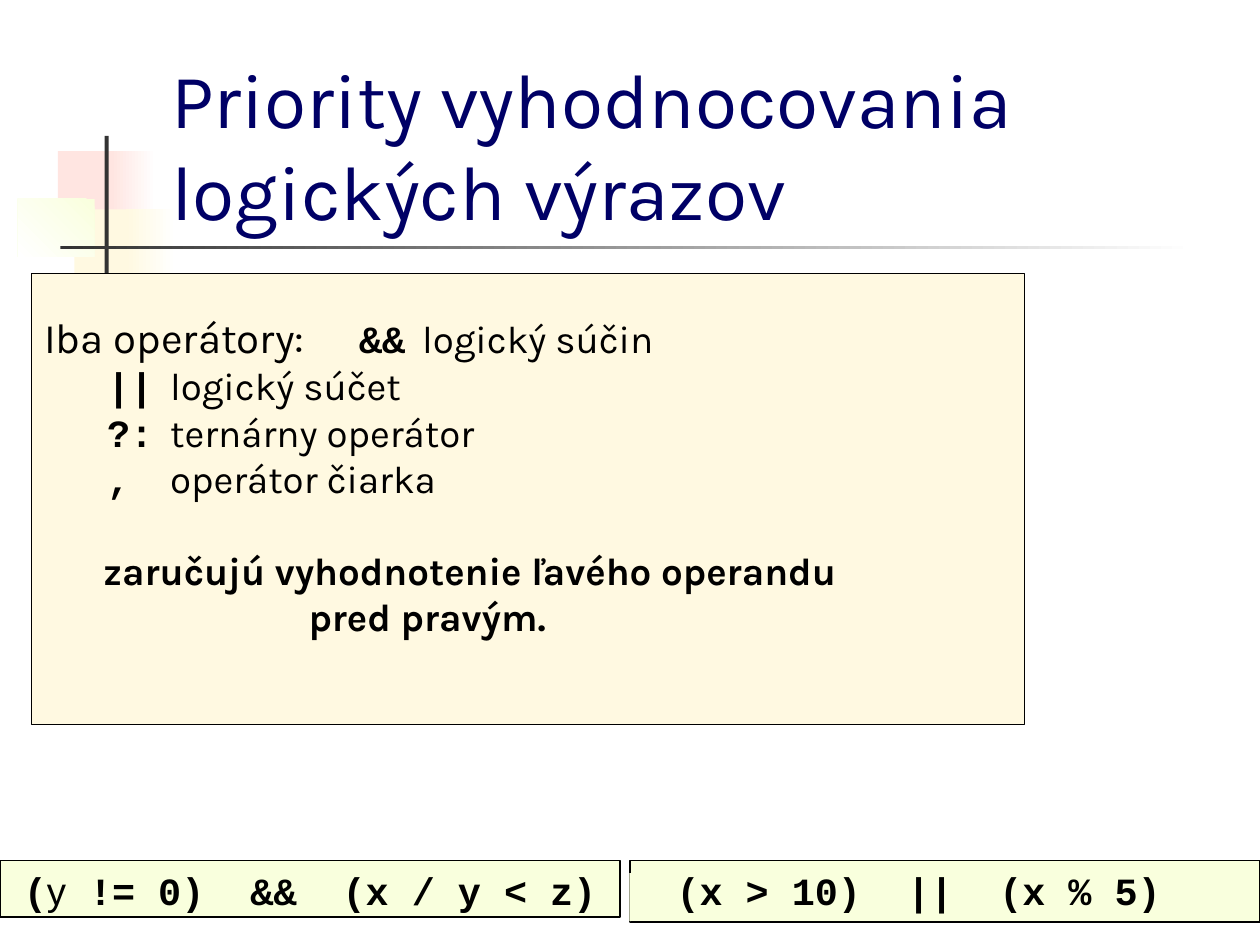
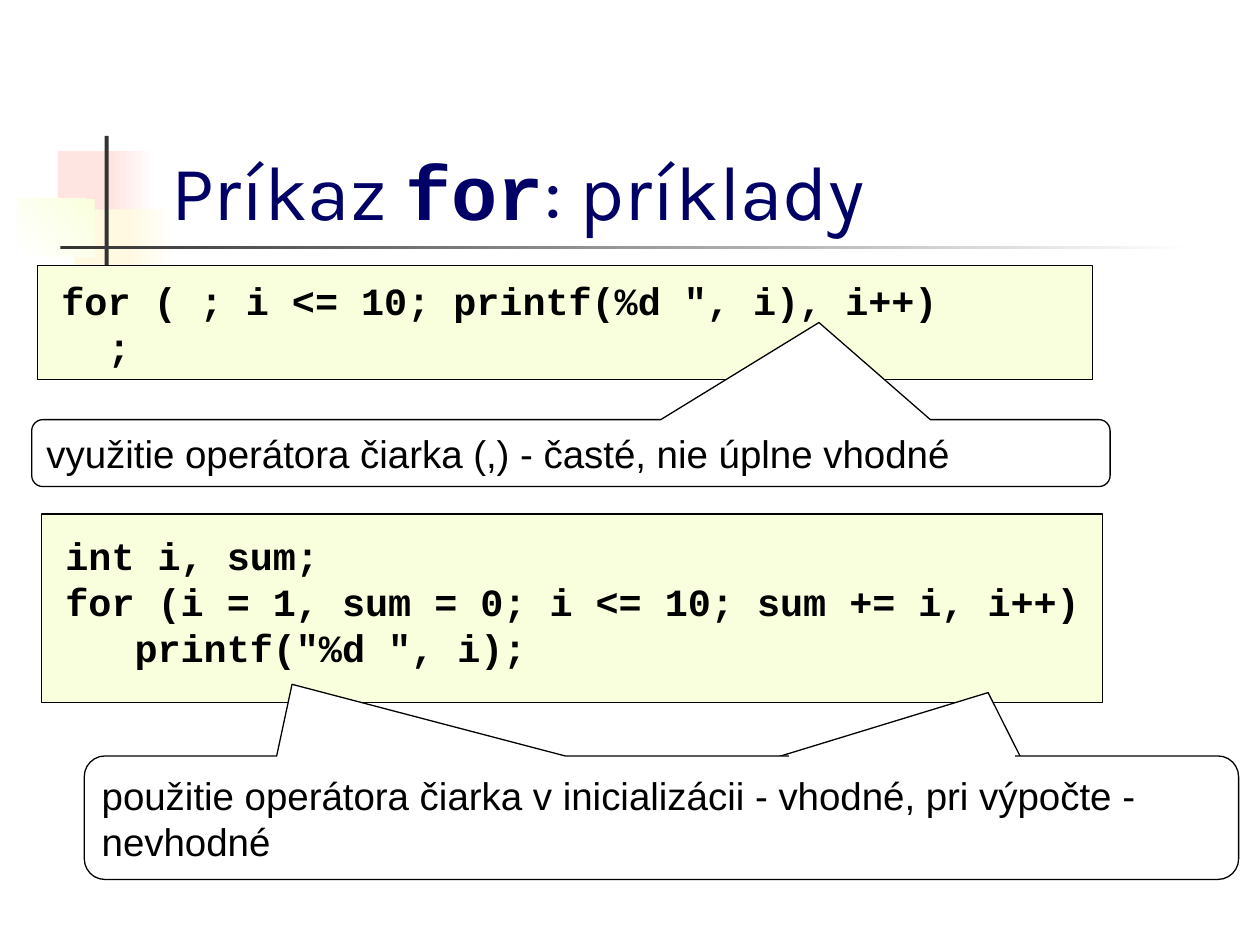
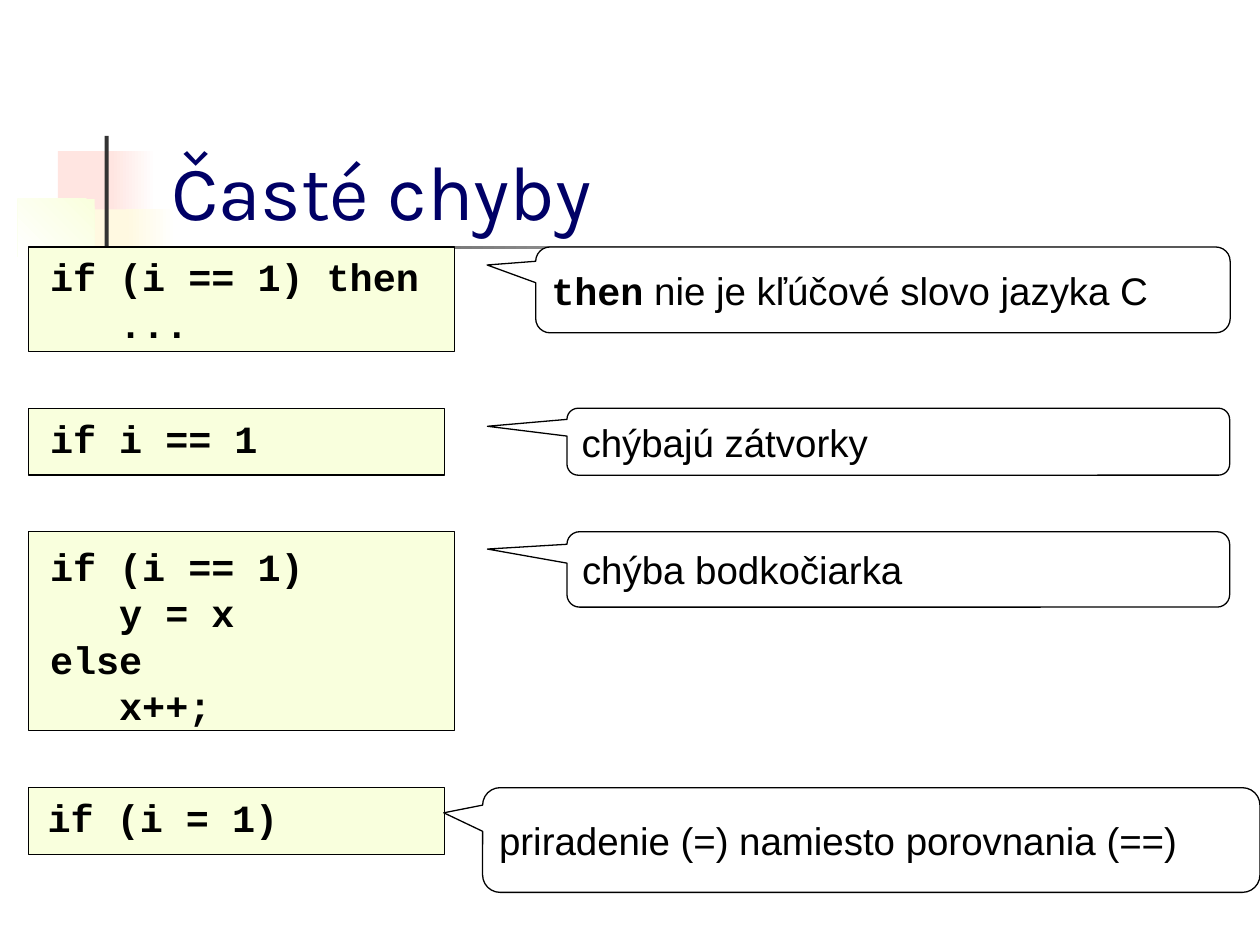
from dataclasses import dataclass
from typing import Any, Optional

from lxml.etree import SubElement
from pptx import Presentation
from pptx.dml.color import RGBColor
from pptx.enum.shapes import MSO_CONNECTOR, MSO_SHAPE
from pptx.enum.text import MSO_ANCHOR, PP_ALIGN
from pptx.oxml.ns import qn
from pptx.util import Cm, Pt

NAVY = RGBColor(0x00, 0x00, 0x66)
BLACK = RGBColor(0x00, 0x00, 0x00)
WHITE = RGBColor(0xFF, 0xFF, 0xFF)
CHARCOAL = RGBColor(0x33, 0x33, 0x33)
PINK = RGBColor(0xFF, 0xE5, 0xE1)
CREAM = RGBColor(0xFF, 0xF9, 0xE1)
LIME = RGBColor(0xF9, 0xFF, 0xDD)

TITLE = {"name": "Karla", "size": Pt(44), "bold": False}
TITLE_CODE = {"name": "Courier New", "size": Pt(44), "bold": True}
LEAD = {"name": "Karla", "size": Pt(24), "bold": False}
BODY = {"name": "Karla", "size": Pt(22), "bold": False}
STRONG = {"name": "Karla", "size": Pt(22), "bold": True}
CODE = {"name": "Courier New", "size": Pt(22), "bold": True}
REMARK = {"name": "Arial", "size": Pt(22), "bold": False}

OPERATOR_TABS = (7.62, 9.04)


@dataclass(frozen=True)
class Box:
    """Position and size in centimetres."""

    left: float
    top: float
    width: float
    height: float

    def lengths(self) -> tuple[Cm, Cm, Cm, Cm]:
        """Return the four lengths for a shape call."""
        return Cm(self.left), Cm(self.top), Cm(self.width), Cm(self.height)


@dataclass(frozen=True)
class Run:
    """Words sharing one font format."""

    text: str
    style: dict[str, Any]


@dataclass(frozen=True)
class Line:
    """One paragraph with its indent, tab stops and space before."""

    runs: tuple[Run, ...]
    indent: float = 0
    tabs: tuple[float, ...] = ()
    before: float = 0


@dataclass(frozen=True)
class Ornament:
    """A block of the title decoration, plain or fading to white."""

    box: Box
    colour: RGBColor
    fade_angle: Optional[int] = None


@dataclass(frozen=True)
class Listing:
    """A code panel with its padding."""

    box: Box
    lines: tuple[Line, ...]
    pad_left: float = 0.43
    pad_top: float = 0.13


@dataclass(frozen=True)
class Callout:
    """A rounded balloon whose tail ends at tip."""

    box: Box
    tip: tuple[float, float]
    runs: tuple[Run, ...] = ()


ORNAMENTS = (
    Ornament(Box(1.17, 3.05, 1.22, 1.32), PINK),
    Ornament(Box(2.24, 3.05, 0.91, 1.32), PINK, 0),
    Ornament(Box(1.5, 4.22, 1.17, 1.32), CREAM),
    Ornament(Box(2.54, 4.22, 1.02, 1.32), CREAM, 0),
    Ornament(Box(0.36, 4.01, 1.55, 1.17), LIME, 225),
    Ornament(Box(2.11, 2.74, 0.08, 2.92), CHARCOAL),
    Ornament(Box(1.22, 4.95, 22.86, 0.08), CHARCOAL, 0),
)
TITLE_BOX = Box(3.2, 1.7, 21.64, 3.18)


def code(*texts: str) -> tuple[Line, ...]:
    """Return one code line for each text."""
    return tuple(Line((Run(text, CODE),)) for text in texts)


def remark(text: str) -> tuple[Run, ...]:
    """Return the run of a plain remark."""
    return (Run(text, REMARK),)


def operator(sign: str, meaning: str, lead: str = "") -> Line:
    """Return a row of the operator list."""
    return Line(
        (Run(f"{lead}\t", LEAD if lead else BODY), Run(f"{sign}\t", CODE), Run(meaning, BODY)),
        tabs=OPERATOR_TABS,
    )


def write(shape: Any, lines: tuple[Line, ...], colour: RGBColor, frame_format: dict[str, Any]) -> None:
    """Fill a shape with formatted paragraphs."""
    frame = shape.text_frame
    for key, value in ({"word_wrap": True} | frame_format).items():
        setattr(frame, key, value)
    for index, line in enumerate(lines):
        paragraph = frame.paragraphs[0] if index == 0 else frame.add_paragraph()
        paragraph.alignment = PP_ALIGN.LEFT
        if line.before:
            paragraph.space_before = Pt(line.before)
        properties = paragraph._p.get_or_add_pPr()
        properties.set("marL", str(Cm(line.indent)))
        properties.set("indent", "0")
        if line.tabs:
            stops = SubElement(properties, qn("a:tabLst"))
            for stop in line.tabs:
                SubElement(stops, qn("a:tab"), pos=str(Cm(stop)), algn="l")
        for part in line.runs:
            run = paragraph.add_run()
            run.text = part.text
            for key, value in part.style.items():
                setattr(run.font, key, value)
            run.font.color.rgb = colour


def add_block(slide: Any, box: Box, colour: RGBColor, outlined: bool = True, kind: Any = MSO_SHAPE.RECTANGLE) -> Any:
    """Add a filled shape, with a thin black outline if wanted."""
    block = slide.shapes.add_shape(kind, *box.lengths())
    block.shadow.inherit = False
    block.fill.solid()
    block.fill.fore_color.rgb = colour
    if outlined:
        block.line.color.rgb = BLACK
        block.line.width = Pt(0.75)
    else:
        block.line.fill.background()
    return block


def add_ornament(slide: Any, ornament: Ornament) -> None:
    """Draw one block of the title decoration."""
    block = add_block(slide, ornament.box, ornament.colour, outlined=False)
    if ornament.fade_angle is not None:
        block.fill.gradient()
        block.fill.gradient_angle = ornament.fade_angle
        for stop, colour in zip(block.fill.gradient_stops, (ornament.colour, WHITE)):
            stop.color.rgb = colour


def add_titled_slide(deck: Any, *title: Run) -> Any:
    """Add a blank slide with the decoration and a title."""
    slide = deck.slides.add_slide(deck.slide_layouts[6])
    for ornament in ORNAMENTS:
        add_ornament(slide, ornament)
    heading = slide.shapes.add_textbox(*TITLE_BOX.lengths())
    write(heading, (Line(title),), NAVY, {"vertical_anchor": MSO_ANCHOR.BOTTOM})
    return slide


def add_listing(slide: Any, listing: Listing) -> None:
    """Draw a code panel."""
    panel = add_block(slide, listing.box, LIME)
    write(panel, listing.lines, BLACK, {
        "vertical_anchor": MSO_ANCHOR.TOP,
        "margin_left": Cm(listing.pad_left),
        "margin_top": Cm(listing.pad_top),
        "margin_right": 0,
        "margin_bottom": 0,
    })


def add_callout(slide: Any, callout: Callout) -> None:
    """Draw a balloon with its remark."""
    balloon = add_block(slide, callout.box, WHITE, kind=MSO_SHAPE.ROUNDED_RECTANGULAR_CALLOUT)
    for index, value in enumerate(callout.tip):
        balloon.adjustments[index] = value
    if callout.runs:
        write(balloon, (Line(callout.runs),), BLACK, {
            "vertical_anchor": MSO_ANCHOR.MIDDLE,
            "margin_left": Cm(0.23),
            "margin_right": Cm(0.23),
        })


def add_seam(slide: Any, start: float, end: float, height: float) -> None:
    """Open the edge between two joined balloons with a white line."""
    seam = slide.shapes.add_connector(MSO_CONNECTOR.STRAIGHT, Cm(start), Cm(height), Cm(end), Cm(height))
    seam.line.color.rgb = WHITE
    seam.line.width = Pt(1.5)
    SubElement(seam._element.spPr, qn("a:effectLst"))


def build_priorities(deck: Any) -> None:
    """Build the slide on evaluation order."""
    slide = add_titled_slide(deck, Run("Priority vyhodnocovania logických výrazov", TITLE))
    rules = add_block(slide, Box(0.64, 5.51, 20.02, 9.09), CREAM)
    write(rules, (
        operator("&&", "logický súčin", "Iba operátory:"),
        operator("||", "logický súčet"),
        operator("?:", "ternárny operátor"),
        operator(",", "operátor čiarka"),
        Line((Run("zaručujú vyhodnotenie ľavého operandu", STRONG),), indent=1.19, before=26.5),
        Line((Run("pred pravým.", STRONG),), indent=5.33),
    ), BLACK, {"vertical_anchor": MSO_ANCHOR.TOP, "margin_top": Cm(0.78)})
    division = (Line((Run("(", CODE), Run("y", REMARK), Run(" != 0)  &&  (x / y < z)", CODE))),)
    add_listing(slide, Listing(Box(0, 17.35, 12.5, 1.14), division, 0.48))
    add_listing(slide, Listing(Box(12.7, 17.35, 12.7, 1.24), code("(x > 10)  ||  (x % 5)"), 0.94))
    add_block(slide, Box(12.69, 17.6, 0.03, 0.97), LIME, outlined=False)


def build_for_examples(deck: Any) -> None:
    """Build the slide with for loops."""
    slide = add_titled_slide(deck, Run("Príkaz ", TITLE), Run("for", TITLE_CODE), Run(": príklady", TITLE))
    printing = code('for ( ; i <= 10; printf(%d ", i), i++)', "  ;")
    summing = code("int i, sum;", "for (i = 1, sum = 0; i <= 10; sum += i, i++)", '   printf("%d ", i);')
    add_listing(slide, Listing(Box(0.76, 5.36, 21.26, 2.29), printing, 0.48, 0.23))
    add_listing(slide, Listing(Box(0.84, 10.36, 21.39, 3.81), summing, 0.48, 0.36))
    for callout in (
        Callout(Box(0.64, 8.46, 21.74, 1.35), (0.23, -1.95),
                remark("využitie operátora čiarka (,) - časté, nie úplne vhodné")),
        Callout(Box(2.08, 15.44, 22.3, 2.11), (0.3, -1.2)),
        Callout(Box(1.7, 15.24, 23.27, 2.49), (-0.32, -1.08),
                remark("použitie operátora čiarka v inicializácii - vhodné, pri výpočte - nevhodné")),
    ):
        add_callout(slide, callout)
    add_seam(slide, 15.9, 20.47, 15.24)


def build_mistakes(deck: Any) -> None:
    """Build the slide with common mistakes."""
    slide = add_titled_slide(deck, Run("Časté chyby", TITLE))
    mistakes = (
        (Listing(Box(0.58, 4.98, 8.59, 2.11), code("if (i == 1) then", "   ...")),
         Callout(Box(10.8, 4.98, 14, 1.73), (-0.57, -0.29),
                 (Run("then", CODE), *remark(" nie je kľúčové slovo jazyka C")))),
        (Listing(Box(0.58, 8.23, 8.38, 1.35), code("if i == 1")),
         Callout(Box(11.43, 8.23, 13.36, 1.35), (-0.62, -0.23), remark("chýbajú zátvorky"))),
        (Listing(Box(0.58, 10.72, 8.59, 4.01), code("if (i == 1)", "   y = x", "else", "   x++;"), pad_top=0.23),
         Callout(Box(11.43, 10.72, 13.36, 1.52), (-0.62, -0.27), remark("chýba bodkočiarka"))),
        (Listing(Box(0.58, 15.88, 8.38, 1.35), code("if (i = 1)"), 0.38),
         Callout(Box(9.73, 15.88, 15.67, 2.11), (-0.55, -0.26),
                 remark("priradenie (=) namiesto porovnania (==)"))),
    )
    for listing, callout in mistakes:
        add_listing(slide, listing)
        add_callout(slide, callout)


def main() -> None:
    """Build and save the presentation."""
    deck = Presentation()
    deck.slide_width, deck.slide_height = Cm(25.4), Cm(19.05)
    for build in (build_priorities, build_for_examples, build_mistakes):
        build(deck)
    deck.save("out.pptx")


if __name__ == "__main__":
    main()
